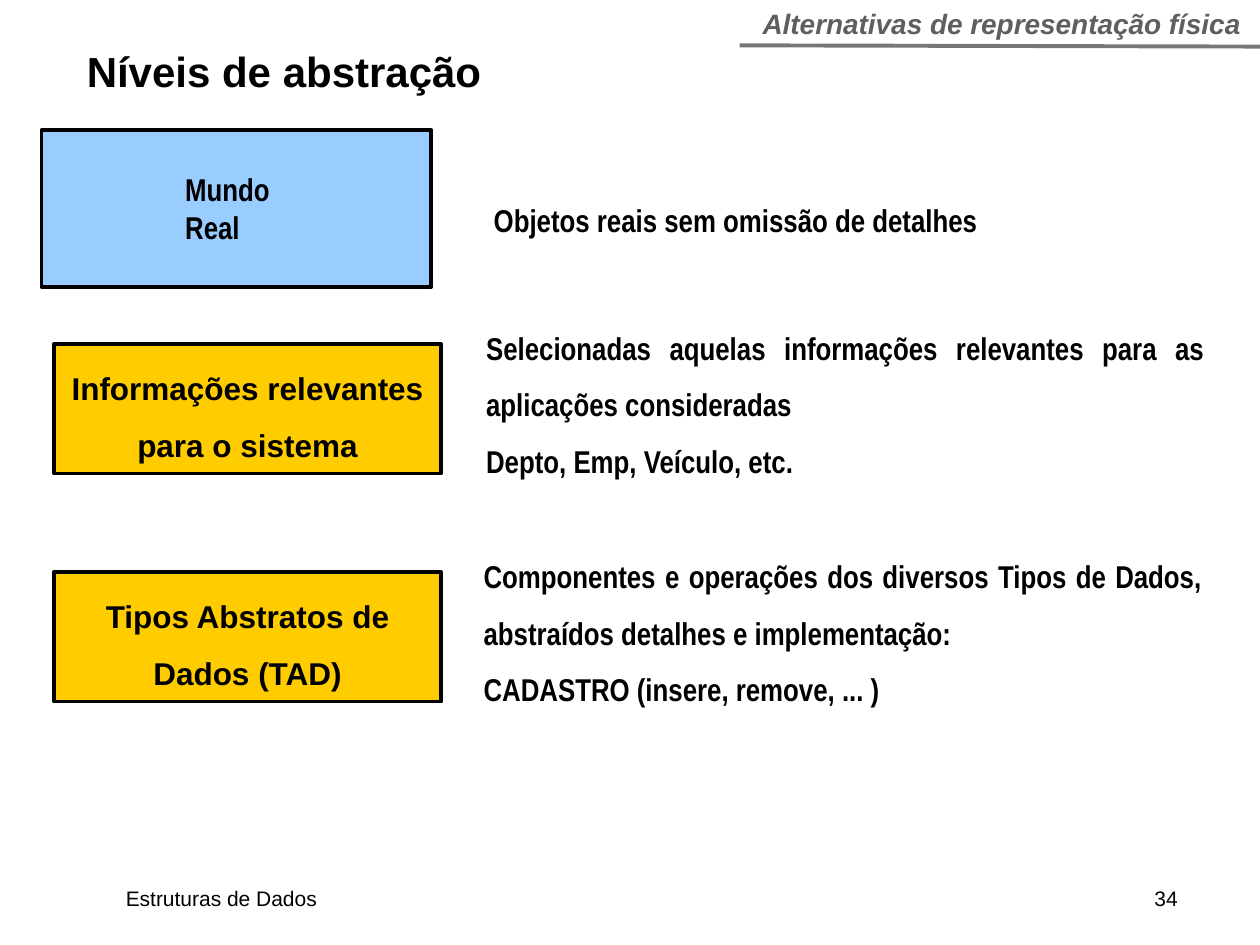
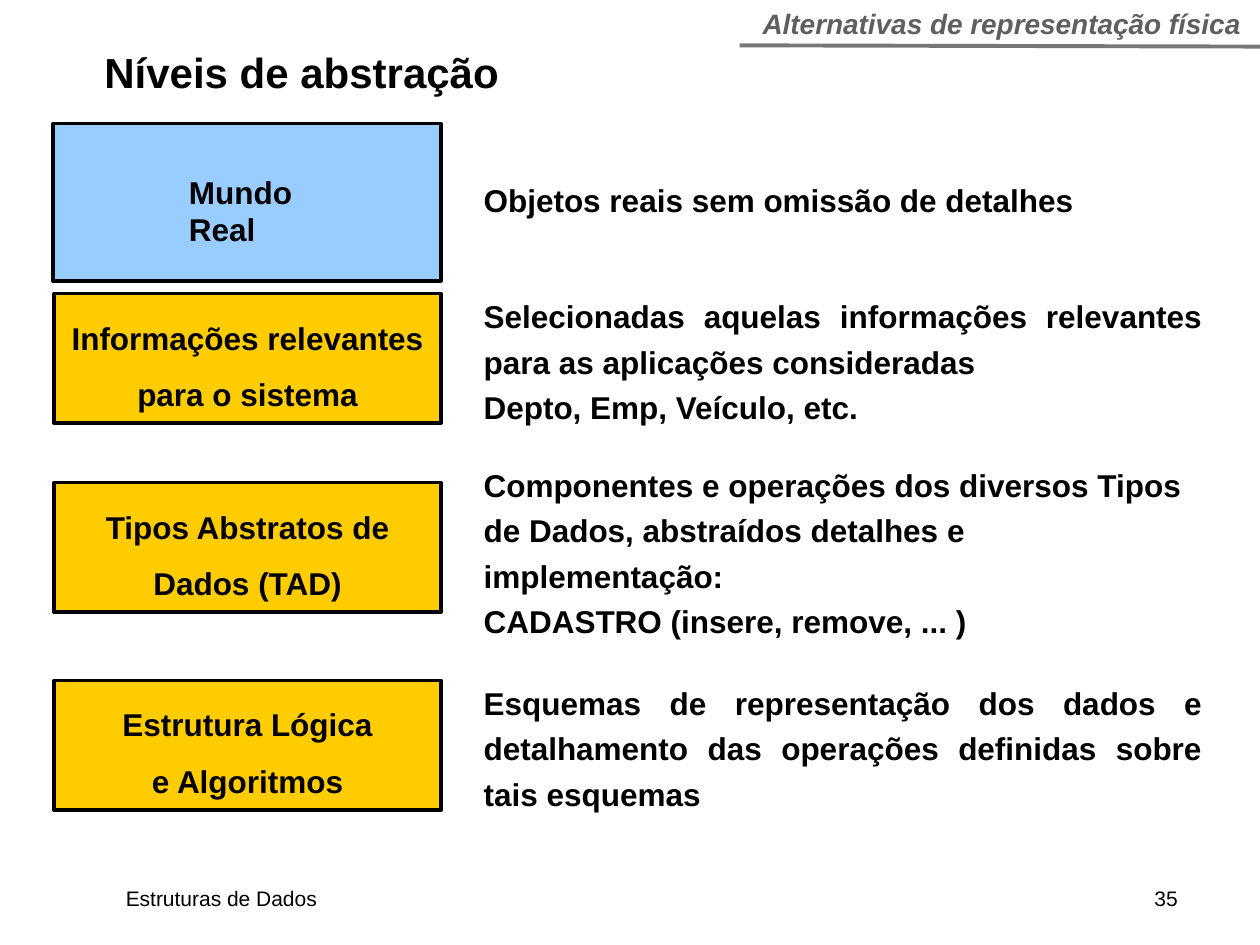
from dataclasses import dataclass
from typing import NamedTuple

from lxml import etree
from pptx import Presentation
from pptx.dml.color import RGBColor
from pptx.enum import shapes, text
from pptx.oxml import ns
from pptx import util as u


@dataclass(frozen=True)
class Theme:
    ink: str = "000000"
    muted: str = "5F5F5F"
    rule: str = "777777"
    world: str = "99CCFF"
    level: str = "FFCC00"
    font: str = "Arial"
    narrow: str = "Arial Narrow"
    title: float = 24
    section: float = 16
    body: float = 18
    footer: float = 12
    outline: float = 2
    rule_width: float = 2.25


class Box(NamedTuple):
    left: float
    top: float
    width: float
    height: float

    def inset(self, dx, dy, width, height):
        """A box placed relative to this one's top left corner."""
        return Box(self.left + dx, self.top + dy, width, height)

    def lengths(self):
        return [u.Inches(value) for value in self]


THEME = Theme()
PAGE = Box(0, 0, 10, 7.5)
ALIGN = text.PP_ALIGN
LEVEL_LEFT, LEVEL_WIDTH, LEVEL_HEIGHT = 0.43, 3.07, 1.03
NOTE_LEFT, NOTE_WIDTH = 3.74, 5.9

INFO = "Informações relevantes\npara o sistema"
INFO_NOTE = ["Selecionadas aquelas informações relevantes para as aplicações consideradas",
             "Depto, Emp, Veículo, etc."]
TAD = "Tipos Abstratos de Dados (TAD)"
TAD_NOTE = ["Componentes e operações dos diversos Tipos de Dados, "
            "abstraídos detalhes e implementação:",
            "CADASTRO (insere, remove, ... )"]
LOGIC = "Estrutura Lógica\ne Algoritmos"
LOGIC_NOTE = ["Esquemas de representação dos dados e detalhamento "
              "das operações definidas sobre tais esquemas"]


def write(shape, lines, size=THEME.body, font=THEME.font, color=THEME.ink, bold=True,
          italic=False, align=ALIGN.JUSTIFY, spacing=None, margin=0.1, grow=True):
    """Fill a shape with paragraphs; a newline inside one is a line break."""
    frame = shape.text_frame
    frame.word_wrap = True
    frame.vertical_anchor = text.MSO_ANCHOR.TOP if grow else text.MSO_ANCHOR.MIDDLE
    frame.auto_size = (text.MSO_AUTO_SIZE.SHAPE_TO_FIT_TEXT if grow
                       else text.MSO_AUTO_SIZE.NONE)
    frame.margin_left = frame.margin_right = u.Inches(margin)
    frame.margin_top = frame.margin_bottom = u.Inches(margin / 2)
    for index, line in enumerate(lines):
        para = frame.add_paragraph() if index else frame.paragraphs[0]
        para.alignment = align
        para.line_spacing = spacing
        for row, words in enumerate(line.split("\n")):
            if row:
                para.add_line_break()
            span = para.add_run()
            span.text = words
            span.font.name = font
            span.font.size = u.Pt(size)
            span.font.bold = bold
            span.font.italic = italic
            span.font.color.rgb = RGBColor.from_string(color)


def add_text(page, box, lines, **style):
    shape = page.shapes.add_textbox(*box.lengths())
    write(shape, lines, **style)
    return shape


def add_block(page, box, fill):
    shape = page.shapes.add_shape(shapes.MSO_SHAPE.RECTANGLE, *box.lengths())
    shape.shadow.inherit = False
    shape.fill.solid()
    shape.fill.fore_color.rgb = RGBColor.from_string(fill)
    shape.line.color.rgb = RGBColor.from_string(THEME.ink)
    shape.line.width = u.Pt(THEME.outline)
    return shape


def add_header(page, box):
    """Section name with its rule, at the top right."""
    ends = (box.left, box.top + 0.36, box.left + box.width, box.top + 0.37)
    rule = page.shapes.add_connector(shapes.MSO_CONNECTOR.STRAIGHT,
                                     *[u.Inches(value) for value in ends])
    rule.line.color.rgb = RGBColor.from_string(THEME.rule)
    rule.line.width = u.Pt(THEME.rule_width)
    etree.SubElement(rule._element.spPr, ns.qn("a:effectLst"))
    add_text(page, box.inset(0.06, 0, 4.04, 0.37), ["Alternativas de representação física"],
             size=THEME.section, color=THEME.muted, italic=True, align=ALIGN.CENTER)


def add_footer(page, box, number):
    """Course name, and the page number at a right tab stop."""
    shape = add_text(page, box, [f"Estruturas de Dados\t{number}"],
                     size=THEME.footer, bold=False, align=ALIGN.LEFT)
    properties = shape.text_frame.paragraphs[0]._p.get_or_add_pPr()
    stops = etree.SubElement(properties, ns.qn("a:tabLst"))
    etree.SubElement(stops, ns.qn("a:tab"), pos=str(u.Inches(box.width - 0.39)), algn="r")


def add_world(page, box, label, note, font):
    """Real world block; label and note are placed from its corner."""
    add_block(page, box, THEME.world)
    add_text(page, box.inset(*label), ["Mundo", "Real"], font=font, margin=0.12)
    add_text(page, box.inset(*note), ["Objetos reais sem omissão de detalhes"], font=font)


def add_level(page, box, name, note_box, note, **note_style):
    """One abstraction level with its explanation on the right."""
    write(add_block(page, box, THEME.level), [name], align=ALIGN.CENTER, spacing=1.5)
    return add_text(page, box.inset(*note_box), note, **note_style)


def add_page(deck, number, title_box):
    page = deck.slides.add_slide(deck.slide_layouts[6])
    add_footer(page, PAGE.inset(0.9, 6.98, 8.74, 0.3), number)
    add_header(page, PAGE.inset(5.87, 0, 4.13, 0.37))
    add_text(page, title_box, ["Níveis de abstração"], size=THEME.title,
             align=ALIGN.LEFT, grow=False)
    return page


def level_box(top):
    return Box(LEVEL_LEFT, top, LEVEL_WIDTH, LEVEL_HEIGHT)


def add_three_levels(deck):
    page = add_page(deck, 34, Box(0.59, 0.25, 3.45, 0.62))
    add_world(page, Box(0.33, 1.03, 3.09, 1.25), (1.02, 0.26, 1.23, 0.73),
              (3.49, 0.52, 4.16, 0.7), THEME.narrow)
    for top, name, left, note in ((2.73, INFO, 3.76, INFO_NOTE),
                                  (4.54, TAD, NOTE_LEFT, TAD_NOTE)):
        add_level(page, level_box(top), name, (left - LEVEL_LEFT, -0.32, NOTE_WIDTH, 1.45),
                  note, font=THEME.narrow, spacing=1.5)


def add_four_levels(deck):
    page = add_page(deck, 35, Box(0.73, 0.26, 3.45, 0.62))
    add_world(page, Box(0.42, 0.98, 3.08, 1.25), (0.96, 0.33, 1.1, 0.72),
              (3.32, 0.41, 4.96, 0.7), THEME.font)
    levels = ((2.33, INFO, -0.08, 1.18, INFO_NOTE),
              (3.83, TAD, -0.24, 1.55, TAD_NOTE),
              (5.4, LOGIC, -0.08, 1.18, LOGIC_NOTE))
    for top, name, rise, height, note in levels:
        shape = add_level(page, level_box(top), name,
                          (NOTE_LEFT - LEVEL_LEFT, rise, NOTE_WIDTH, height),
                          note, spacing=1.2)
        if note is TAD_NOTE:
            shape.text_frame.paragraphs[0].alignment = ALIGN.LEFT


def main():
    deck = Presentation()
    deck.slide_width, deck.slide_height = PAGE.lengths()[2:]
    add_three_levels(deck)
    add_four_levels(deck)
    deck.save("out.pptx")


if __name__ == "__main__":
    main()
